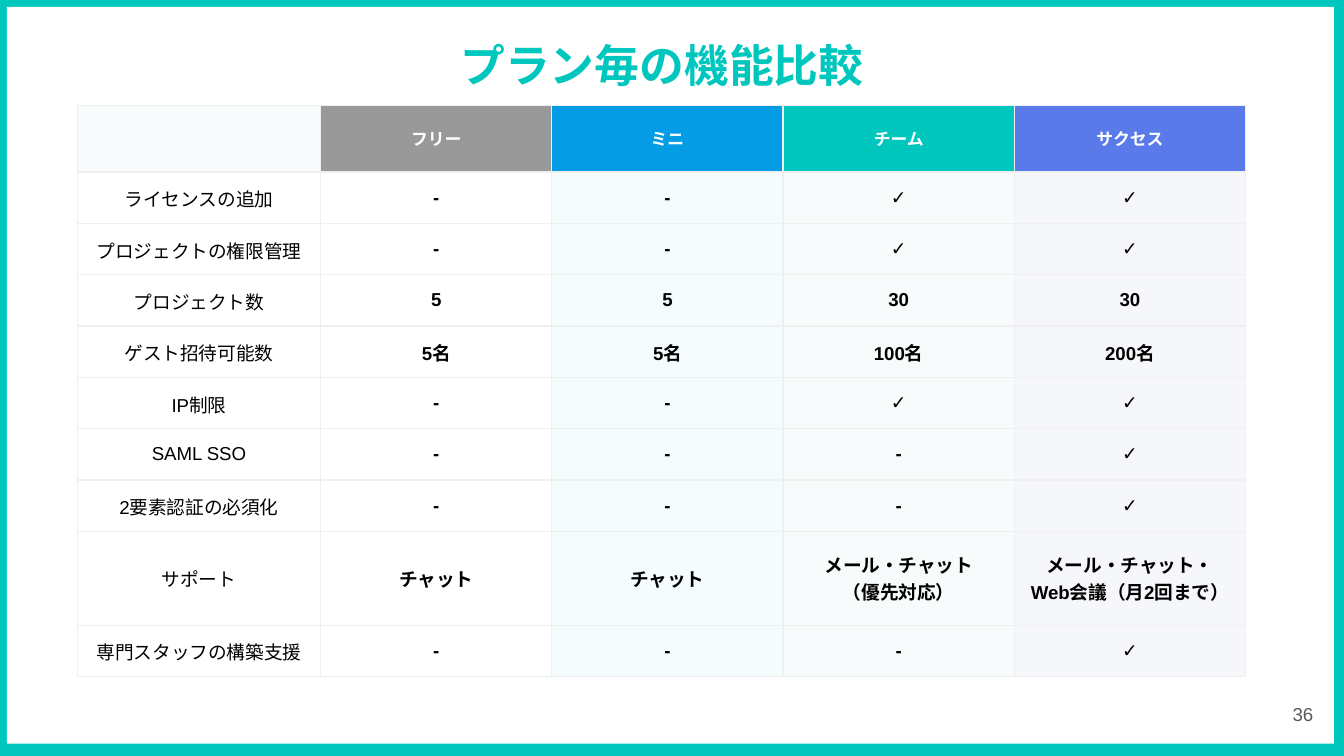
import pptx
import pptx.util
import pptx.dml.color
import pptx.enum.shapes
import pptx.enum.text
import pptx.oxml
import pptx.oxml.ns

Cm = pptx.util.Cm
Pt = pptx.util.Pt
ALIGN = pptx.enum.text.PP_ALIGN
ANCHOR = pptx.enum.text.MSO_ANCHOR

HUES = {
    "teal": "00C7BE", "white": "FFFFFF", "black": "000000", "gray": "595959",
    "edge": "EFEFEF", "ash": "999999", "blue": "049CE5", "iris": "5A7AEA",
    "mint": "F7FBFB", "sky": "F4FCFE", "mist": "F6F7FB",
}
HEADS = ["mint", "ash", "blue", "teal", "iris"]
TINTS = [None, "white", "sky", "mint", "mist"]
WIDTHS = [4.6] + [4.37] * 4
INSET = 0.25

ROWS = [
    (1.25, ["", "フリー", "ミニ", "チーム", "サクセス"]),
    (0.97, ["ライセンスの追加", "-", "-", "✓", "✓"]),
    (0.97, ["プロジェクトの権限管理", "-", "-", "✓", "✓"]),
    (0.97, ["プロジェクト数", "5", "5", "30", "30"]),
    (0.97, ["ゲスト招待可能数", "5名", "5名", "100名", "200名"]),
    (0.97, ["IP制限", "-", "-", "✓", "✓"]),
    (0.97, ["SAML SSO", "-", "-", "-", "✓"]),
    (0.97, ["2要素認証の必須化", "-", "-", "-", "✓"]),
    (1.4, ["サポート", "チャット", "チャット", "メール・チャット\n（優先対応）",
           "メール・チャット・Web会議（月2回まで）"]),
    (0.97, ["専門スタッフの構築支援", "-", "-", "-", "✓"]),
]


def color(name):
    return pptx.dml.color.RGBColor.from_string(HUES[name])


def write(frame, text, size, hue, bold=False, font="Arial", align=ALIGN.CENTER):
    for i, line in enumerate(text.split("\n")):
        para = frame.add_paragraph() if i else frame.paragraphs[0]
        para.alignment = align
        run = para.add_run()
        run.text = line
        run.font.size = Pt(size)
        run.font.name = font
        run.font.bold = bold
        run.font.color.rgb = color(hue)


def pad(item):
    item.margin_left = item.margin_right = Cm(INSET)
    item.margin_top = item.margin_bottom = Cm(INSET)


def paint(item, hue):
    if hue:
        item.fill.solid()
        item.fill.fore_color.rgb = color(hue)
    else:
        item.fill.background()


def edge(cell):
    props = cell._tc.get_or_add_tcPr()
    for side in ("lnL", "lnR", "lnT", "lnB"):
        props.append(pptx.oxml.parse_xml(
            f'<a:{side} {pptx.oxml.ns.nsdecls("a")} w="{Pt(0.75)}"><a:solidFill>'
            f'<a:srgbClr val="{HUES["edge"]}"/></a:solidFill></a:{side}>'))


def border(slide, box, band):
    left, top, width, height = box
    for gap, hue in ((0, "teal"), (band, "white")):
        shape = slide.shapes.add_shape(
            pptx.enum.shapes.MSO_SHAPE.RECTANGLE, Cm(left + gap), Cm(top + gap),
            Cm(width - 2 * gap), Cm(height - 2 * gap))
        shape.shadow.inherit = False
        shape.line.fill.background()
        paint(shape, hue)


def label(slide, box, text, anchor, **style):
    frame = slide.shapes.add_textbox(*map(Cm, box)).text_frame
    frame.word_wrap = True
    frame.vertical_anchor = anchor
    pad(frame)
    write(frame, text, **style)


def plans(slide, left, top):
    tall = sum(height for height, _ in ROWS)
    table = slide.shapes.add_table(
        len(ROWS), len(WIDTHS), Cm(left), Cm(top), Cm(sum(WIDTHS)), Cm(tall)).table
    table.first_row = table.horz_banding = False
    for col, width in zip(table.columns, WIDTHS):
        col.width = Cm(width)
    for r, (height, texts) in enumerate(ROWS):
        table.rows[r].height = Cm(height)
        for c, text in enumerate(texts):
            cell = table.cell(r, c)
            pad(cell)
            cell.vertical_anchor = ANCHOR.MIDDLE
            edge(cell)
            paint(cell, TINTS[c] if r else HEADS[c])
            if text:
                write(cell.text_frame, text, 10 if r else 9,
                      "black" if r else "white", bold=c > 0)


def main():
    deck = pptx.Presentation()
    deck.slide_width, deck.slide_height = Cm(25.4), Cm(14.29)
    slide = deck.slides.add_slide(deck.slide_layouts[6])
    border(slide, (-0.13, -0.13, 25.6, 14.45), 0.26)
    label(slide, (3.86, 0.46, 17.3, 1.3), "プラン毎の機能比較", ANCHOR.TOP,
          size=24, hue="teal", bold=True, font="Calibri")
    plans(slide, 1.46, 1.99)
    label(slide, (23.55, 12.95, 1.52, 1.09), "36", ANCHOR.MIDDLE,
          size=10, hue="gray", align=ALIGN.RIGHT)
    deck.save("out.pptx")


if __name__ == "__main__":
    main()
